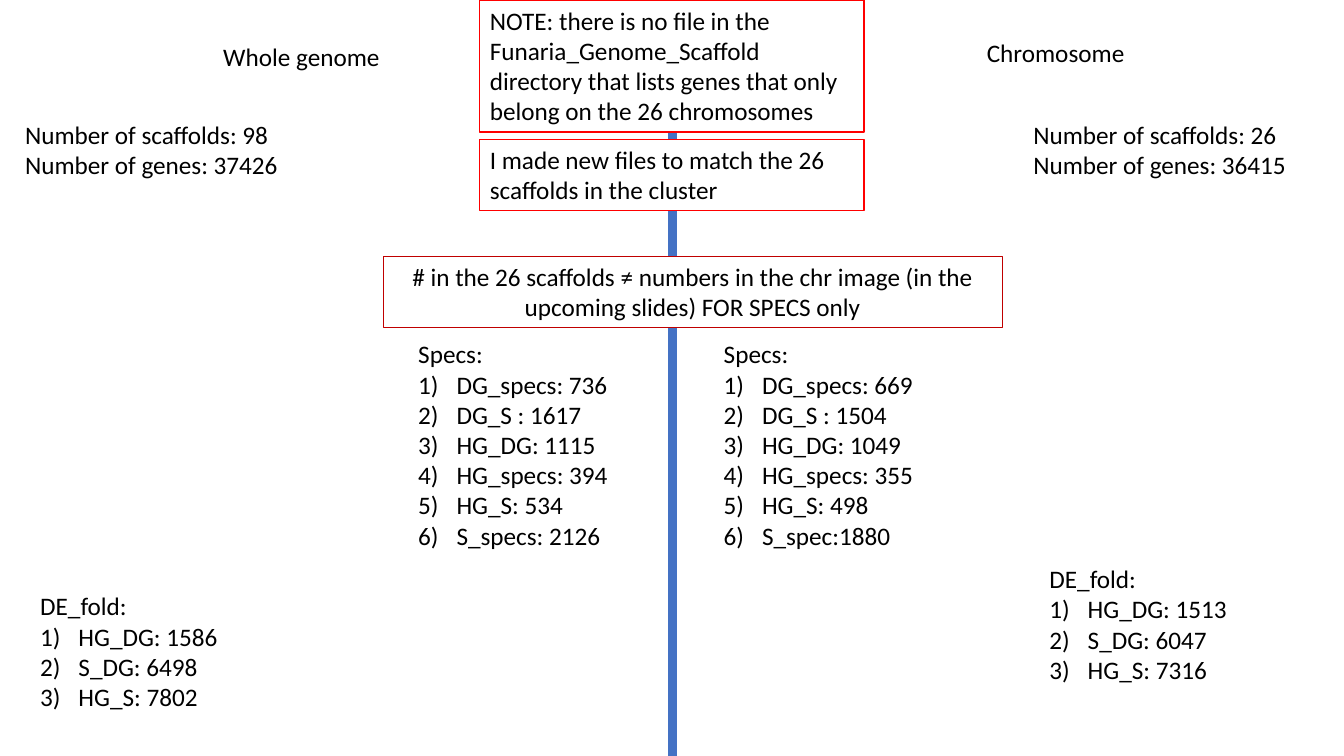
from dataclasses import dataclass

from lxml.etree import SubElement
from pptx import Presentation
from pptx.dml.color import RGBColor
from pptx.enum.shapes import MSO_CONNECTOR as Connector, MSO_SHAPE as Preset
from pptx.enum.text import MSO_ANCHOR as Anchor, MSO_AUTO_SIZE as AutoSize, PP_ALIGN as Align
from pptx.oxml.ns import qn
from pptx.util import Inches, Pt


@dataclass(frozen=True)
class Theme:
    font: str = "Calibri"
    text_size: Pt = Pt(18)
    border_width: Pt = Pt(0.75)
    divider_width: Pt = Pt(6)
    text: RGBColor = RGBColor(0x00, 0x00, 0x00)
    paper: RGBColor = RGBColor(0xFF, 0xFF, 0xFF)
    divider: RGBColor = RGBColor(0x44, 0x72, 0xC4)
    note: RGBColor = RGBColor(0xFF, 0x00, 0x00)
    warning: RGBColor = RGBColor(0xC0, 0x00, 0x00)


def apply_format(target, values):
    for name, value in values.items():
        setattr(target, name, value)


class SlideBuilder:
    def __init__(self, slide, theme):
        self.slide = slide
        self.theme = theme

    def fill_text(self, frame, lines, align=Align.LEFT, numbered_from=None):
        """Fill the frame; lines from index numbered_from on form a numbered list."""
        apply_format(frame, {
            "word_wrap": True,
            "auto_size": AutoSize.SHAPE_TO_FIT_TEXT,
            "vertical_anchor": Anchor.TOP,
        })
        for index, line in enumerate(lines):
            paragraph = frame.add_paragraph() if index else frame.paragraphs[0]
            paragraph.alignment = align
            run = paragraph.add_run()
            run.text = line
            apply_format(run.font, {"name": self.theme.font, "size": self.theme.text_size})
            run.font.color.rgb = self.theme.text
            if numbered_from is not None and index >= numbered_from:
                self.number(paragraph)

    def number(self, paragraph):
        indent = Inches(0.38)
        properties = paragraph._p.get_or_add_pPr()
        properties.set("marL", str(indent))
        properties.set("indent", str(-indent))
        SubElement(properties, qn("a:buFont"), typeface="+mj-lt")
        SubElement(properties, qn("a:buAutoNum"), type="arabicParenR")

    def text(self, left, top, width, height, lines, **style):
        box = self.slide.shapes.add_textbox(*map(Inches, (left, top, width, height)))
        self.fill_text(box.text_frame, lines, **style)

    def numbered_list(self, left, top, width, height, heading, items):
        self.text(left, top, width, height, [heading, *items], numbered_from=1)

    def bordered_box(self, left, top, width, height, message, border, align=Align.LEFT):
        box = self.slide.shapes.add_shape(
            Preset.RECTANGLE, *map(Inches, (left, top, width, height)))
        box.shadow.inherit = False
        box.fill.solid()
        box.fill.fore_color.rgb = self.theme.paper
        box.line.color.rgb = border
        box.line.width = self.theme.border_width
        self.fill_text(box.text_frame, [message], align=align)

    def divider(self, x, top, bottom):
        line = self.slide.shapes.add_connector(
            Connector.STRAIGHT, *map(Inches, (x, top, x, bottom)))
        line.line.color.rgb = self.theme.divider
        line.line.width = self.theme.divider_width
        SubElement(line._element.spPr, qn("a:effectLst"))


def main():
    deck = Presentation()
    apply_format(deck, {"slide_width": Inches(13.33), "slide_height": Inches(7.5)})
    theme = Theme()
    page = SlideBuilder(deck.slides.add_slide(deck.slide_layouts[6]), theme)

    page.text(0.87, 0.36, 4.24, 0.4, ["Whole genome"], align=Align.CENTER)
    page.text(8.35, 0.32, 4.24, 0.4, ["Chromosome"], align=Align.CENTER)
    page.divider(6.67, -0.07, 7.57)

    for left, scaffolds, genes in ((0.15, 98, 37426), (10.15, 26, 36415)):
        page.text(left, 1.13, 4.35, 0.71,
                  [f"Number of scaffolds: {scaffolds}", f"Number of genes: {genes}"])

    page.bordered_box(
        4.76, 0, 3.81, 1.31,
        "NOTE: there is no file in the Funaria_Genome_Scaffold directory "
        "that lists genes that only belong on the 26 chromosomes", theme.note)
    page.bordered_box(
        4.76, 1.38, 3.81, 0.71,
        "I made new files to match the 26 scaffolds in the cluster", theme.note)

    page.numbered_list(4.05, 3.31, 2.47, 2.22, "Specs:", [
        "DG_specs: 736", "DG_S : 1617", "HG_DG: 1115",
        "HG_specs: 394", "HG_S: 534", "S_specs: 2126"])
    page.numbered_list(7.08, 3.31, 3.74, 2.22, "Specs:", [
        "DG_specs: 669", "DG_S : 1504", "HG_DG: 1049",
        "HG_specs: 355", "HG_S: 498", "S_spec:1880"])

    page.bordered_box(
        3.8, 2.54, 6.14, 0.71,
        "# in the 26 scaffolds ≠ numbers in the chr image "
        "(in the upcoming slides) FOR SPECS only", theme.warning, align=Align.CENTER)

    folds = ((0.3, 5.81, (1586, 6498, 7802)), (10.31, 5.54, (1513, 6047, 7316)))
    for left, top, counts in folds:
        items = [f"{pair}: {count}" for pair, count in zip(("HG_DG", "S_DG", "HG_S"), counts)]
        page.numbered_list(left, top, 2.68, 1.31, "DE_fold:", items)

    deck.save("out.pptx")


if __name__ == "__main__":
    main()
